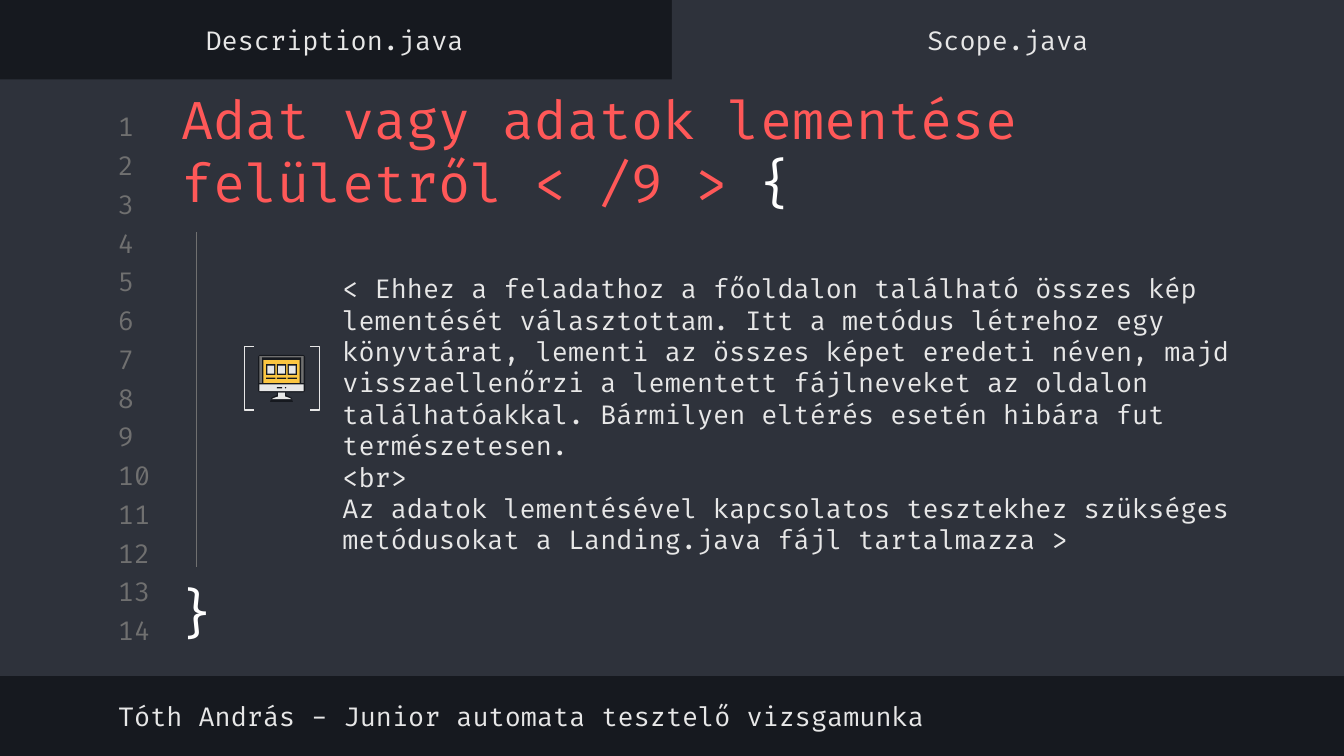
from pptx import Presentation
from pptx.dml.color import RGBColor
from pptx.enum.shapes import MSO_CONNECTOR, MSO_SHAPE as SHAPE
from pptx.enum.text import MSO_ANCHOR as ANCHOR, MSO_AUTO_SIZE, PP_ALIGN as ALIGN
from pptx.oxml.ns import qn
from pptx.util import Inches, Pt
from lxml import etree

DARK = RGBColor(0x16, 0x19, 0x1F)
PANEL = RGBColor(0x2E, 0x32, 0x3B)
GREY = RGBColor(0x70, 0x70, 0x70)
LIGHT = RGBColor(0xE7, 0xE7, 0xE7)
RED = RGBColor(0xFF, 0x58, 0x58)
WHITE = RGBColor(0xFF, 0xFF, 0xFF)
YELLOW = RGBColor(0xFC, 0xC6, 0x42)

# Content
TITLE = [("Adat vagy adatok lementése felületről < /9 > ", RED), ("{", WHITE)]
BODY = [
    "< Ehhez a feladathoz a főoldalon található összes kép lementését "
    "választottam. Itt a metódus létrehoz egy könyvtárat, lementi az összes "
    "képet eredeti néven, majd visszaellenőrzi a lementett fájlneveket az "
    "oldalon találhatóakkal. Bármilyen eltérés esetén hibára fut természetesen.",
    "<br>",
    "Az adatok lementésével kapcsolatos tesztekhez szükséges metódusokat a "
    "Landing.java fájl tartalmazza >",
]
TABS = ["Description.java", "Scope.java"]
FOOTER = "Tóth András - Junior automata tesztelő vizsgamunka"
LINE_COUNT, FIRST_LINE, LAST_LINE = 14, 0.82, 4.57

# Monitor icon: preset, box, colour
CARD_LEFT, CARD_STEP = 1.98, 0.08
MONITOR = [
    (SHAPE.ROUNDED_RECTANGLE, (1.92, 2.64, 0.35, 0.28), DARK),
    (SHAPE.RECTANGLE, (1.93, 2.65, 0.33, 0.2), GREY),
    (SHAPE.RECTANGLE, (1.95, 2.66, 0.29, 0.19), DARK),
    (SHAPE.RECTANGLE, (1.96, 2.68, 0.27, 0.17), YELLOW),
    (SHAPE.RECTANGLE, (1.93, 2.86, 0.33, 0.05), LIGHT),
    (SHAPE.RECTANGLE, (2.06, 2.88, 0.04, 0.01), DARK),
    (SHAPE.OVAL, (2.12, 2.88, 0.01, 0.01), DARK),
]
CARD = [
    (SHAPE.RECTANGLE, (0, 2.71, 0.07, 0.08), DARK),
    (SHAPE.RECTANGLE, (0.01, 2.72, 0.05, 0.06), LIGHT),
    (SHAPE.RECTANGLE, (0, 2.81, 0.07, 0.01), DARK),
]
STAND = [
    ([(2.06, 2.92), (2.13, 2.92), (2.13, 2.94), (2.17, 2.96), (2.18, 2.99),
      (2.01, 2.99), (2.02, 2.96), (2.06, 2.94)], DARK),
    ([(2.07, 2.92), (2.12, 2.92), (2.12, 2.95), (2.15, 2.96), (2.17, 2.97),
      (2.02, 2.97), (2.04, 2.96), (2.07, 2.95)], LIGHT),
]

# 16:9 slide
prs = Presentation()
prs.slide_width = Inches(10)
prs.slide_height = prs.slide_width * 9 // 16
slide = prs.slides.add_slide(prs.slide_layouts[5])
shapes = slide.shapes
slide.background.fill.solid()
slide.background.fill.fore_color.rgb = DARK


def paint(shape, color):
    shape.shadow.inherit = False
    shape.fill.solid()
    shape.fill.fore_color.rgb = color
    shape.line.fill.background()


def add_filled(parent, preset, box, color):
    shape = parent.add_shape(preset, *map(Inches, box))
    paint(shape, color)
    if preset == SHAPE.ROUNDED_RECTANGLE:
        shape.adjustments[0] = 0.07


def write(box, paragraphs, size=14, align=ALIGN.LEFT, anchor=ANCHOR.MIDDLE, holder=None):
    """Fill a text box (or holder) with paragraphs of (text, colour) runs."""
    holder = holder or shapes.add_textbox(*map(Inches, box))
    holder.left, holder.top, holder.width, holder.height = map(Inches, box)
    frame = holder.text_frame
    frame_format = {"word_wrap": True, "auto_size": MSO_AUTO_SIZE.NONE,
                    "vertical_anchor": anchor}
    frame_format |= {f"margin_{side}": Inches(0.1)
                     for side in ("left", "top", "right", "bottom")}
    for name, value in frame_format.items():
        setattr(frame, name, value)
    for i, runs in enumerate(paragraphs):
        paragraph = frame.add_paragraph() if i else frame.paragraphs[0]
        paragraph.alignment = align
        for text, color in runs:
            run = paragraph.add_run()
            run.text = text
            for name, value in {"name": "Fira Code", "size": Pt(size)}.items():
                setattr(run.font, name, value)
            run.font.color.rgb = color


# Editor panel and the active tab
add_filled(shapes, SHAPE.RECTANGLE, (0, 0.59, 10, 4.44), PANEL)
add_filled(shapes, SHAPE.RECTANGLE, (5, 0, 5, 0.65), PANEL)

# Line numbers
line_step = (LAST_LINE - FIRST_LINE) / (LINE_COUNT - 1)
for i in range(LINE_COUNT):
    write((0.78, FIRST_LINE + i * line_step, 0.47, 0.24), [[(str(i + 1), GREY)]])

# Title, brought in front of the panel
title = shapes.title
write((1.25, 0.68, 7.94, 0.87), [TITLE], size=28, holder=title)
title.element.getparent().append(title.element)

# Body, footer and tab labels
write((2.45, 1.55, 7.17, 3.06), [[(text, LIGHT)] for text in BODY])
write((0.78, 5.13, 8.35, 0.39), [[(FOOTER, LIGHT)]])
for left, tab in zip((-0.01, 5), TABS):
    write((left, 0.1, 5, 0.39), [[(tab, LIGHT)]], align=ALIGN.CENTER)

# Monitor icon
icon = shapes.add_group_shape().shapes
for points, color in STAND:
    corners = [(Inches(x), Inches(y)) for x, y in points]
    builder = icon.build_freeform(*corners[0])
    builder.add_line_segments(corners[1:], close=True)
    paint(builder.convert_to_shape(), color)
for part in MONITOR:
    add_filled(icon, *part)
for i in range(3):
    for preset, (left, *rest), color in CARD:
        add_filled(icon, preset, (CARD_LEFT + i * CARD_STEP + left, *rest), color)

# Brackets around the icon
for preset, left in ((SHAPE.LEFT_BRACKET, 1.82), (SHAPE.RIGHT_BRACKET, 2.31)):
    bracket = shapes.add_shape(preset, *map(Inches, (left, 2.58, 0.07, 0.47)))
    bracket.adjustments[0] = 0
    bracket.shadow.inherit = False
    bracket.fill.background()
    bracket.line.color.rgb = LIGHT
    bracket.line.width = Pt(0.75)

# Block guide and closing brace
guide = shapes.add_connector(MSO_CONNECTOR.STRAIGHT,
                             *map(Inches, (1.46, 1.73, 1.46, 4.22)))
guide.line.color.rgb = GREY
guide.line.width = Pt(0.75)
etree.SubElement(guide.element.spPr, qn("a:effectLst"))
write((1.19, 4.22, 0.55, 0.67), [[("}", WHITE)]], size=28,
      align=ALIGN.CENTER, anchor=ANCHOR.TOP)

prs.save("out.pptx")
